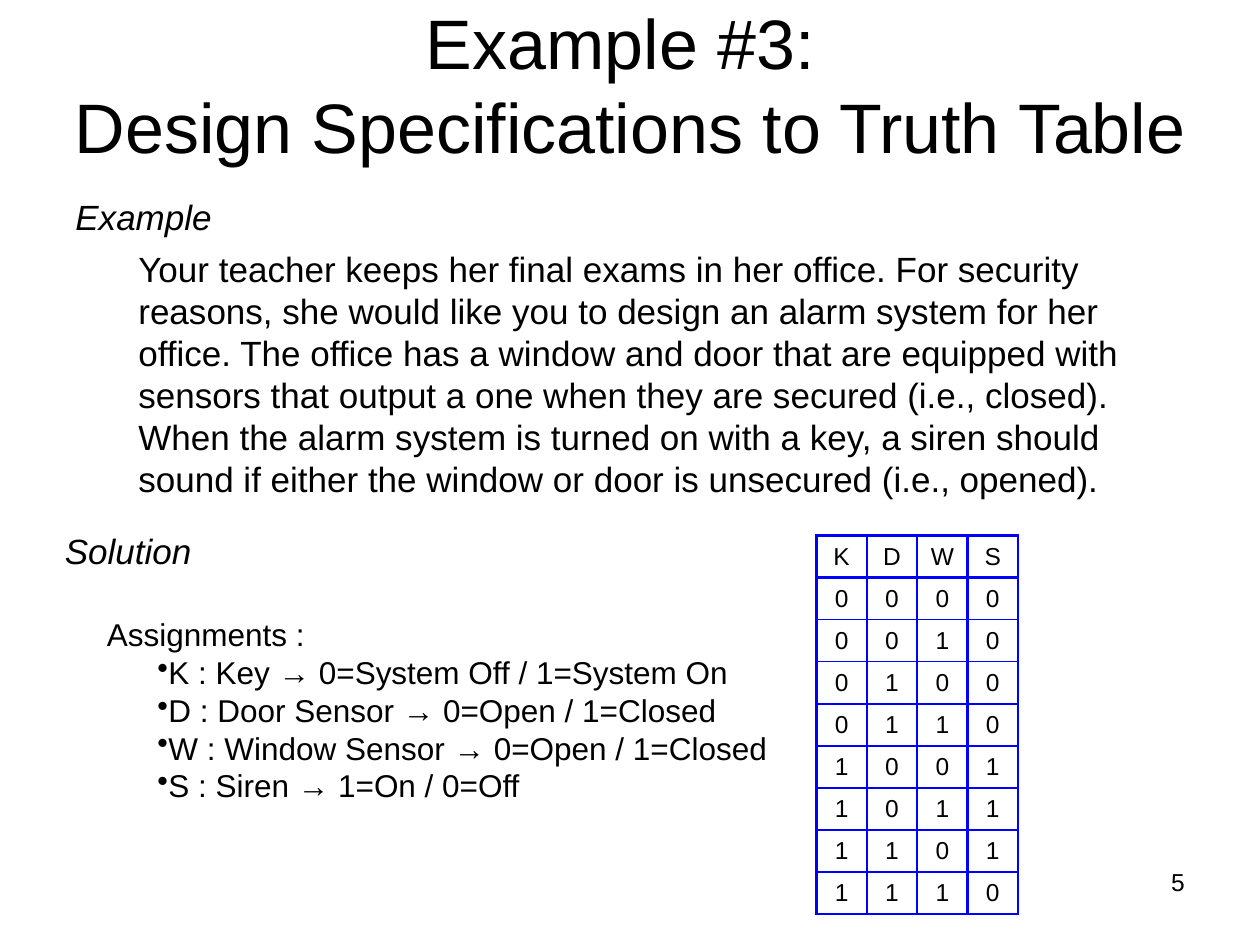
from lxml import etree
from pptx import Presentation
from pptx.dml.color import RGBColor
from pptx.enum import text
from pptx.oxml import ns
from pptx.util import Pt

BLACK = RGBColor(0x00, 0x00, 0x00)
WHITE = RGBColor(0xFF, 0xFF, 0xFF)
BLUE = RGBColor(0x00, 0x00, 0xFF)
FONT = "Arial"
THICK, THIN = 1.5, 1

PROBLEM = (
    "Your teacher keeps her final exams in her office. For security reasons, "
    "she would like you to design an alarm system for her office. The office "
    "has a window and door that are equipped with sensors that output a one "
    "when they are secured (i.e., closed). When the alarm system is turned on "
    "with a key, a siren should sound if either the window or door is "
    "unsecured (i.e., opened)."
)
ASSIGNMENTS = [
    "K : Key → 0=System Off / 1=System On",
    "D : Door Sensor → 0=Open / 1=Closed",
    "W : Window Sensor → 0=Open / 1=Closed",
    "S : Siren → 1=On / 0=Off",
]
TRUTH_ROWS = ["KDWS", "0000", "0010", "0100", "0110",
              "1001", "1011", "1101", "1110"]


def format_paragraph(paragraph, size, align=text.PP_ALIGN.LEFT, italic=False):
    paragraph.alignment = align
    paragraph.font.name = FONT
    paragraph.font.size = Pt(size)
    paragraph.font.italic = italic
    paragraph.font.color.rgb = BLACK


def indent(paragraph, margin, first_line, bullet=None):
    paragraph.level = 1
    properties = paragraph._p.get_or_add_pPr()
    properties.set("marL", str(Pt(margin)))
    properties.set("indent", str(Pt(first_line)))
    if bullet:
        mark = etree.Element(ns.qn("a:buChar"), char=bullet)
        properties.insert_element_before(mark, "a:tabLst", "a:defRPr", "a:extLst")


def add_text(slide, box, lines, size, **style):
    frame = slide.shapes.add_textbox(*map(Pt, box)).text_frame
    frame.word_wrap = True
    frame.text = "\n".join(lines)
    for paragraph in frame.paragraphs:
        format_paragraph(paragraph, size, **style)
    return frame.paragraphs


def place_title(slide, box):
    title = slide.shapes.title
    title.left, title.top, title.width, title.height = map(Pt, box)
    frame = title.text_frame
    frame.text = "Example #3: \vDesign Specifications to Truth Table"
    frame.vertical_anchor = text.MSO_ANCHOR.MIDDLE
    format_paragraph(frame.paragraphs[0], 40, text.PP_ALIGN.CENTER)


def add_example(slide, box):
    heading, problem = add_text(slide, box, ["Example", PROBLEM], 20)
    heading.font.italic = True
    heading.space_after = Pt(6)
    indent(problem, 36, 0)


def add_solution_heading(slide, box):
    add_text(slide, box, ["Solution"], 20, italic=True)


def add_assignments(slide, box):
    _, *signals = add_text(slide, box, ["Assignments :", *ASSIGNMENTS], 18)
    for signal in signals:
        indent(signal, 14.4, 14.4, "•")


def set_border(cell, side, width):
    properties = cell._tc.get_or_add_tcPr()
    line = etree.Element(ns.qn(f"a:{side}"), w=str(Pt(width)))
    fill = etree.SubElement(line, ns.qn("a:solidFill"))
    etree.SubElement(fill, ns.qn("a:srgbClr"), val=str(BLUE))
    properties.insert(["lnL", "lnR", "lnT", "lnB"].index(side), line)


def add_truth_table(slide, box):
    rows, columns = len(TRUTH_ROWS), len(TRUTH_ROWS[0])
    table = slide.shapes.add_table(rows, columns, *map(Pt, box)).table
    table.first_row = table.horz_banding = False
    thick_verticals = {0, columns - 1, columns}
    thick_horizontals = {0, 1, rows}
    for r, values in enumerate(TRUTH_ROWS):
        for c, value in enumerate(values):
            cell = table.cell(r, c)
            cell.text = value
            cell.vertical_anchor = text.MSO_ANCHOR.MIDDLE
            format_paragraph(cell.text_frame.paragraphs[0], 14, text.PP_ALIGN.CENTER)
            if r == 0:
                cell.fill.solid()
                cell.fill.fore_color.rgb = WHITE
            else:
                cell.fill.background()
            for side, edge, thick in (("lnL", c, thick_verticals),
                                      ("lnR", c + 1, thick_verticals),
                                      ("lnT", r, thick_horizontals),
                                      ("lnB", r + 1, thick_horizontals)):
                set_border(cell, side, THICK if edge in thick else THIN)


def add_page_number(slide, box):
    add_text(slide, box, ["5"], 14, align=text.PP_ALIGN.RIGHT)


def main():
    deck = Presentation()
    deck.slide_width, deck.slide_height = Pt(720), Pt(540)
    slide = deck.slides.add_slide(deck.slide_layouts[5])
    add_example(slide, (36, 108, 642, 181.2))
    add_truth_table(slide, (466.5, 306, 115.2, 216))
    add_assignments(slide, (54, 348, 420, 115.2))
    add_solution_heading(slide, (30, 299, 102, 31.2))
    add_page_number(slide, (516, 492, 168, 37.5))
    place_title(slide, (0, 0, 720, 96))
    deck.save("out.pptx")


if __name__ == "__main__":
    main()
